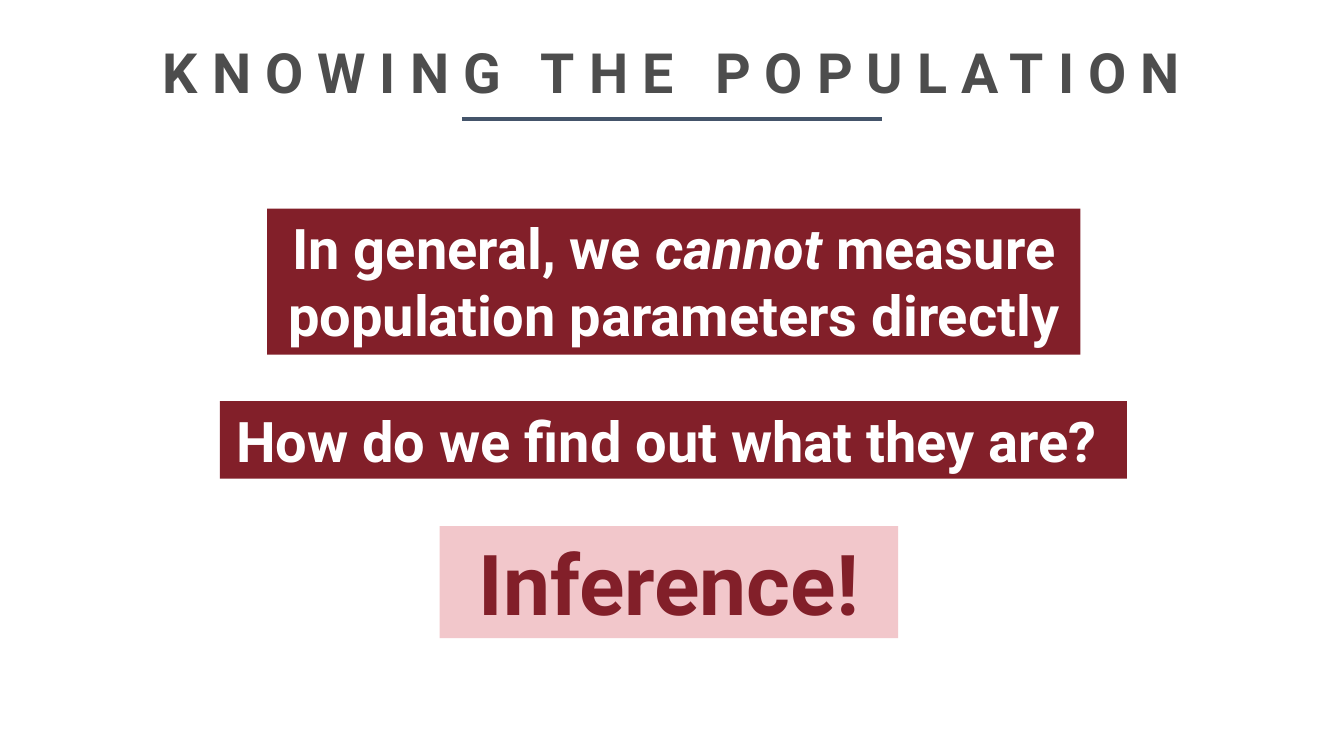
from pptx import Presentation
from pptx.dml.color import RGBColor
from pptx.enum import shapes, text
from pptx.oxml import ns
from pptx.util import Pt
from lxml import etree

FONT = "Roboto"
GREY = RGBColor(0x4D, 0x4D, 0x4D)
SLATE = RGBColor(0x44, 0x54, 0x6A)
MAROON = RGBColor(0x82, 0x1F, 0x29)
PINK = RGBColor(0xF2, 0xC7, 0xCB)
WHITE = RGBColor(0xFF, 0xFF, 0xFF)


def add_run(p, words, size, color, italic=False):
    r = p.add_run()
    r.text = words
    r.font.name = FONT
    r.font.size = Pt(size)
    r.font.bold = True
    r.font.italic = italic
    r.font.color.rgb = color
    return r


def add_title(s, words):
    sp = s.shapes.add_textbox(Pt(66), Pt(12.24), Pt(828), Pt(72))
    tf = sp.text_frame
    tf.word_wrap = True
    tf.vertical_anchor = text.MSO_ANCHOR.MIDDLE
    p = tf.paragraphs[0]
    p.alignment = text.PP_ALIGN.CENTER
    p.line_spacing = 1.1
    r = add_run(p, words, 39.6, GREY)
    r.font._element.set("spc", "1000")  # letter spacing of 10 pt


def add_rule(s, left, right, y):
    cn = s.shapes.add_connector(shapes.MSO_CONNECTOR.STRAIGHT,
                                Pt(left), Pt(y), Pt(right), Pt(y))
    cn.line.color.rgb = SLATE
    cn.line.width = Pt(3)
    etree.SubElement(cn._element.spPr, ns.qn("a:effectLst"))


def add_banner(s, box, runs, size=40, fill=MAROON, color=WHITE):
    """Add a filled box with centred text; runs are (words, italic) pairs."""
    sp = s.shapes.add_shape(shapes.MSO_SHAPE.RECTANGLE, *map(Pt, box))
    sp.shadow.inherit = False
    sp.fill.solid()
    sp.fill.fore_color.rgb = fill
    sp.line.fill.background()
    tf = sp.text_frame
    tf.word_wrap = True
    tf.auto_size = text.MSO_AUTO_SIZE.SHAPE_TO_FIT_TEXT
    tf.vertical_anchor = text.MSO_ANCHOR.TOP
    p = tf.paragraphs[0]
    p.alignment = text.PP_ALIGN.CENTER
    for words, italic in runs:
        add_run(p, words, size, color, italic)


def main():
    prs = Presentation()
    prs.slide_width, prs.slide_height = Pt(960), Pt(540)
    s = prs.slides.add_slide(prs.slide_layouts[6])

    add_title(s, "KNOWING THE POPULATION")
    add_rule(s, 330, 630, 85)
    add_banner(s, (190.8, 149, 581, 104.4),
               [("In general, we ", False), ("cannot", True),
                (" measure population parameters directly", False)])
    add_banner(s, (157, 286.6, 648, 55.4),
               [("How do we find out what they are? ", False)])
    add_banner(s, (314, 375.8, 327.6, 80), [("Inference!", False)],
               size=60, fill=PINK, color=MAROON)
    prs.save("out.pptx")


if __name__ == "__main__":
    main()
